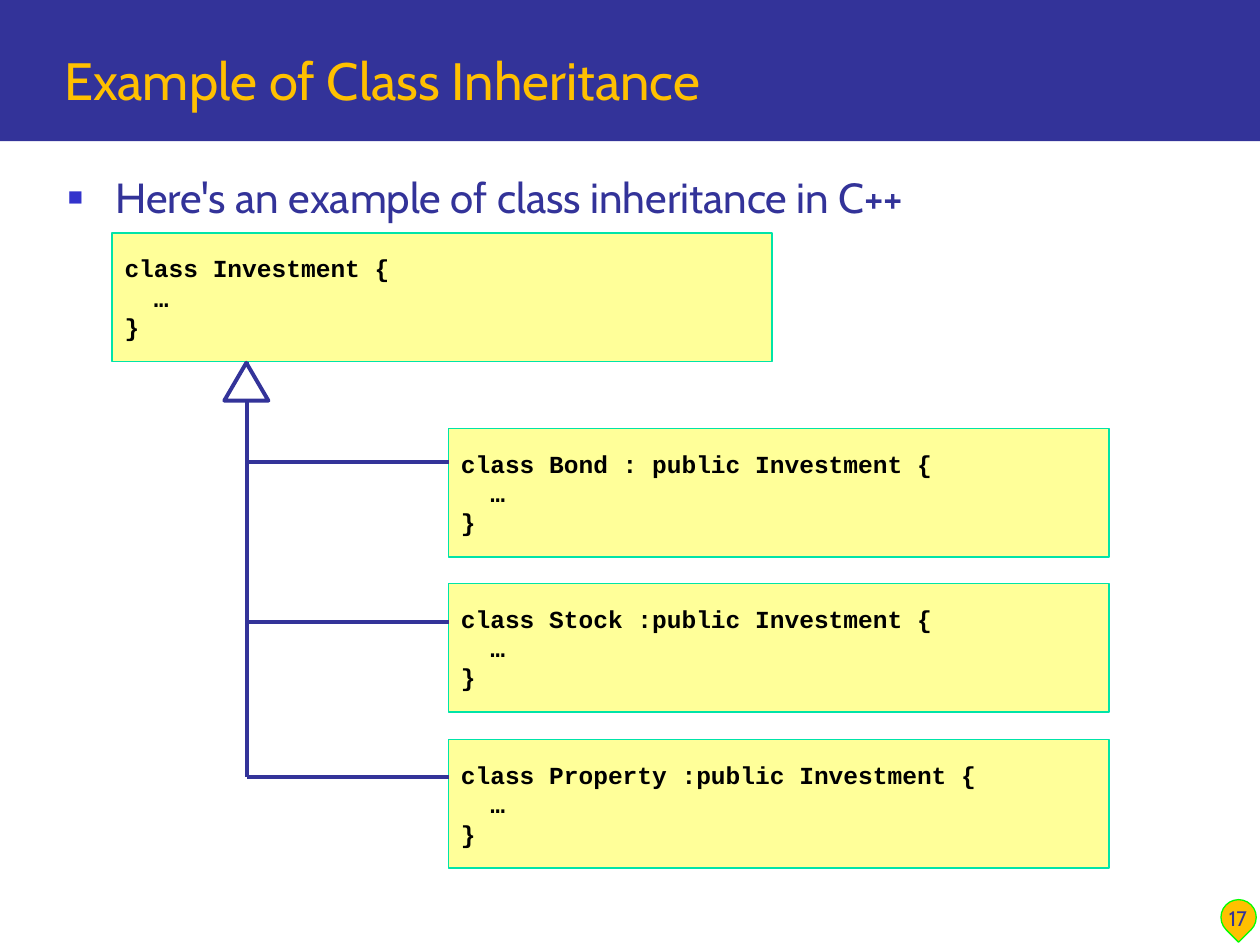
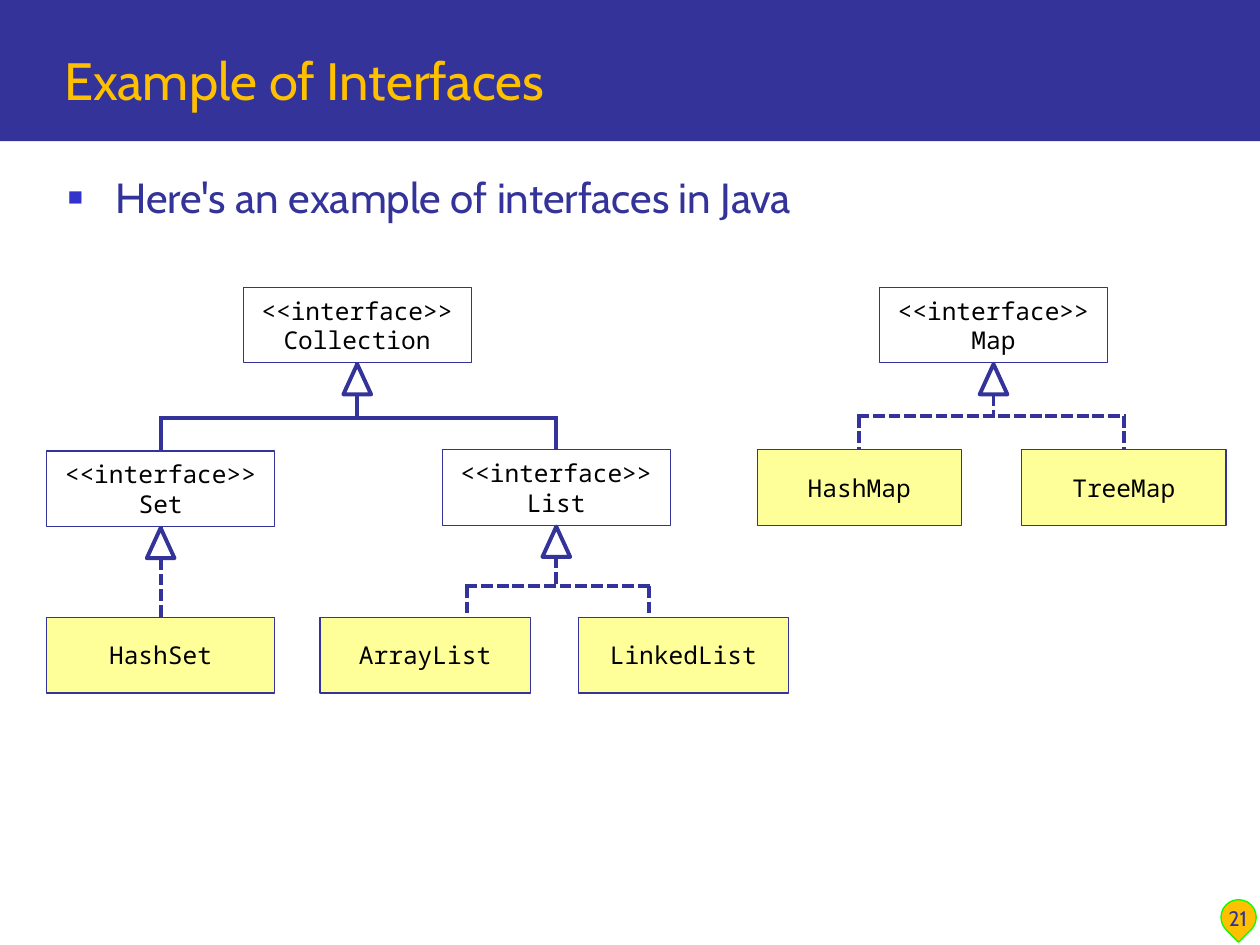
import pptx
import pptx.util
import pptx.dml.color
import pptx.enum.dml
import pptx.enum.shapes
import pptx.enum.text
import pptx.oxml
import pptx.oxml.ns

Inches = pptx.util.Inches
Pt = pptx.util.Pt
hue = pptx.dml.color.RGBColor.from_string
Kind = pptx.enum.shapes.MSO_SHAPE
Anchor = pptx.enum.text.MSO_ANCHOR
Align = pptx.enum.text.PP_ALIGN
DASH = pptx.enum.dml.MSO_LINE.SQUARE_DOT

NAVY, GOLD, CREAM, WHITE, BLACK = "333399", "FFC000", "FFFF99", "FFFFFF", "000000"
MINT, LIME, DOT = "00E4A8", "00FF00", "3333CC"
HEAVY = 2.25
NS = 'xmlns:a="http://schemas.openxmlformats.org/drawingml/2006/main"'


def form(slide, kind, place, fill, line=None, width=1):
    """Add a preset shape at place (left, top, width, height)."""
    shape = slide.shapes.add_shape(kind, *[Inches(v) for v in place])
    shape.shadow.inherit = False
    shape.fill.solid()
    shape.fill.fore_color.rgb = hue(fill)
    if line:
        shape.line.color.rgb = hue(line)
        shape.line.width = Pt(width)
    else:
        shape.line.fill.background()
    return shape


def write(shape, lines, font, size, color, anchor, align=Align.LEFT, bold=False):
    """Put one paragraph per line into the shape."""
    frame = shape.text_frame
    frame.word_wrap = True
    frame.vertical_anchor = anchor
    for i, line in enumerate(lines):
        para = frame.paragraphs[0] if i == 0 else frame.add_paragraph()
        para.alignment = align
        run = para.add_run()
        run.text = line
        run.font.name = font
        run.font.size = Pt(size)
        run.font.bold = bold
        run.font.color.rgb = hue(color)


deck = pptx.Presentation()
deck.slide_width, deck.slide_height = Inches(10), Inches(7.5)

pages = []
for title, point, number in [
    ("Example of Class Inheritance",
     "Here's an example of class inheritance in C++", "17"),
    ("Example of Interfaces",
     "Here's an example of interfaces in Java", "21"),
]:
    page = deck.slides.add_slide(deck.slide_layouts[6])
    form(page, Kind.RECTANGLE, (0, 0, 10, 1.12), NAVY)
    drop = form(page, Kind.TEAR, (9.69, 7.14, 0.28, 0.28), GOLD, LIME, 0.75)
    drop.rotation = 135
    for text, place, size, color, anchor, align in [
        (point, (0.44, 1.31, 9.28, 5.4), 24, NAVY, Anchor.TOP, Align.LEFT),
        (title, (0.41, 0.17, 9.35, 0.76), 30, GOLD, Anchor.BOTTOM, Align.LEFT),
        (number, (9.54, 6.94, 0.57, 0.5), 12, NAVY, Anchor.BOTTOM, Align.CENTER),
    ]:
        box = page.shapes.add_textbox(*[Inches(v) for v in place])
        write(box, [text], "Cabin", size, color, anchor, align)
        if text == point:
            props = box.text_frame.paragraphs[0]._p.get_or_add_pPr()
            props.set("marL", str(Inches(0.38)))
            props.set("indent", str(-Inches(0.38)))
            for tag in (f'<a:buClr {NS}><a:srgbClr val="{DOT}"/></a:buClr>',
                        f'<a:buSzPct {NS} val="60000"/>',
                        f'<a:buFont {NS} typeface="Arial"/>',
                        f'<a:buChar {NS} char="■"/>'):
                props.append(pptx.oxml.parse_xml(tag))
    pages.append(page)
code, uml = pages

# Each link: slide, start, end, dashed, box joined at its bottom, box joined at its top
links = []
heads = []

# Class inheritance: a base class and three subclasses on one trunk
trunk = 1.96
links.append((code, (trunk, 2.87), (trunk, 6.17), False, None, None))
for y in (3.67, 4.94, 6.17):
    links.append((code, (trunk, y), (3.56, y), False, None, None))
heads.append((code, (1.78, 2.88, 0.35, 0.3)))
for first, x, y in [
    ("class Investment {", 0.89, 1.85),
    ("class Bond : public Investment {", 3.56, 3.4),
    ("class Stock :public Investment {", 3.56, 4.63),
    ("class Property :public Investment {", 3.56, 5.87),
]:
    box = form(code, Kind.RECTANGLE, (x, y, 5.24, 1.02), CREAM, MINT)
    write(box, [first, "  …", "}"], "Courier New", 14, BLACK, Anchor.MIDDLE, bold=True)

# Interfaces: white boxes are interfaces, cream ones are classes
boxes = {}
tall = 0.6
for name, x, y, wide, fill in [
    ("Collection", 1.93, 2.28, 1.81, WHITE),
    ("Map", 6.98, 2.28, 1.81, WHITE),
    ("Set", 0.37, 3.58, 1.81, WHITE),
    ("List", 3.51, 3.57, 1.81, WHITE),
    ("HashMap", 6.01, 3.57, 1.62, CREAM),
    ("TreeMap", 8.11, 3.57, 1.62, CREAM),
    ("HashSet", 0.37, 4.9, 1.81, CREAM),
    ("ArrayList", 2.54, 4.9, 1.67, CREAM),
    ("LinkedList", 4.59, 4.9, 1.67, CREAM),
]:
    box = form(uml, Kind.RECTANGLE, (x, y, wide, tall), fill, NAVY, 0.75)
    lines = ["<<interface>>", name] if fill == WHITE else [name]
    write(box, lines, "Noto Sans Mono", 14, BLACK, Anchor.MIDDLE, Align.CENTER)
    boxes[name] = (box, x + wide / 2, y)

# Each family: parent, height of the bar, children with the x of their drop, dashed
for name, bar, kids, dashed in [
    ("Collection", 3.32, {"Set": None, "List": None}, False),
    ("Map", 3.3, {"HashMap": None, "TreeMap": None}, True),
    ("List", 4.65, {"ArrayList": 3.71, "LinkedList": 5.15}, True),
    ("Set", None, {"HashSet": None}, True),
]:
    top, mid, y = boxes[name]
    foot = y + tall
    heads.append((uml, (mid - 0.11, foot + 0.01, 0.22, 0.24)))
    if bar is None:
        kid, x, end = boxes["HashSet"]
        links.append((uml, (mid, foot), (x, end), dashed, top, kid))
        continue
    links.append((uml, (mid, foot), (mid, bar), dashed, top, None))
    ends = []
    for kid, shift in kids.items():
        box, x, end = boxes[kid]
        x = shift or x
        ends.append(x)
        links.append((uml, (x, bar), (x, end), dashed, None, None if shift else box))
    # The bar reaches half a line width past the drops to square the corners
    half = HEAVY / 144
    links.append((uml, (ends[0] - half, bar), (ends[1] + half, bar), dashed, None, None))

for page, start, end, dashed, upper, lower in links:
    link = page.shapes.add_connector(
        pptx.enum.shapes.MSO_CONNECTOR.STRAIGHT, *[Inches(v) for v in start + end])
    link.line.color.rgb = hue(NAVY)
    link.line.width = Pt(HEAVY)
    if dashed:
        link.line.dash_style = DASH
    link._element.spPr.append(pptx.oxml.parse_xml(f"<a:effectLst {NS}/>"))
    if upper:
        link.begin_connect(upper, 2)
    if lower:
        link.end_connect(lower, 0)

for page, place in heads:
    form(page, Kind.ISOSCELES_TRIANGLE, place, WHITE, NAVY, HEAVY)

deck.save("out.pptx")
